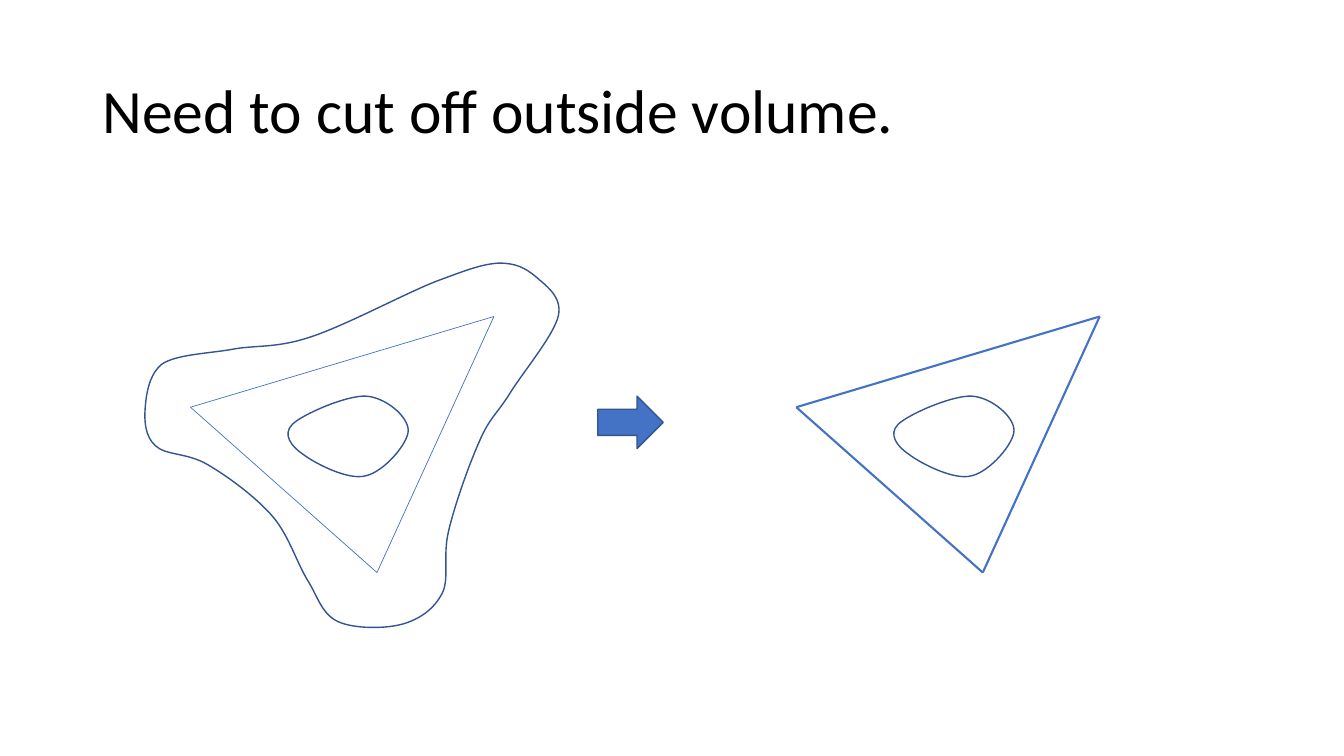
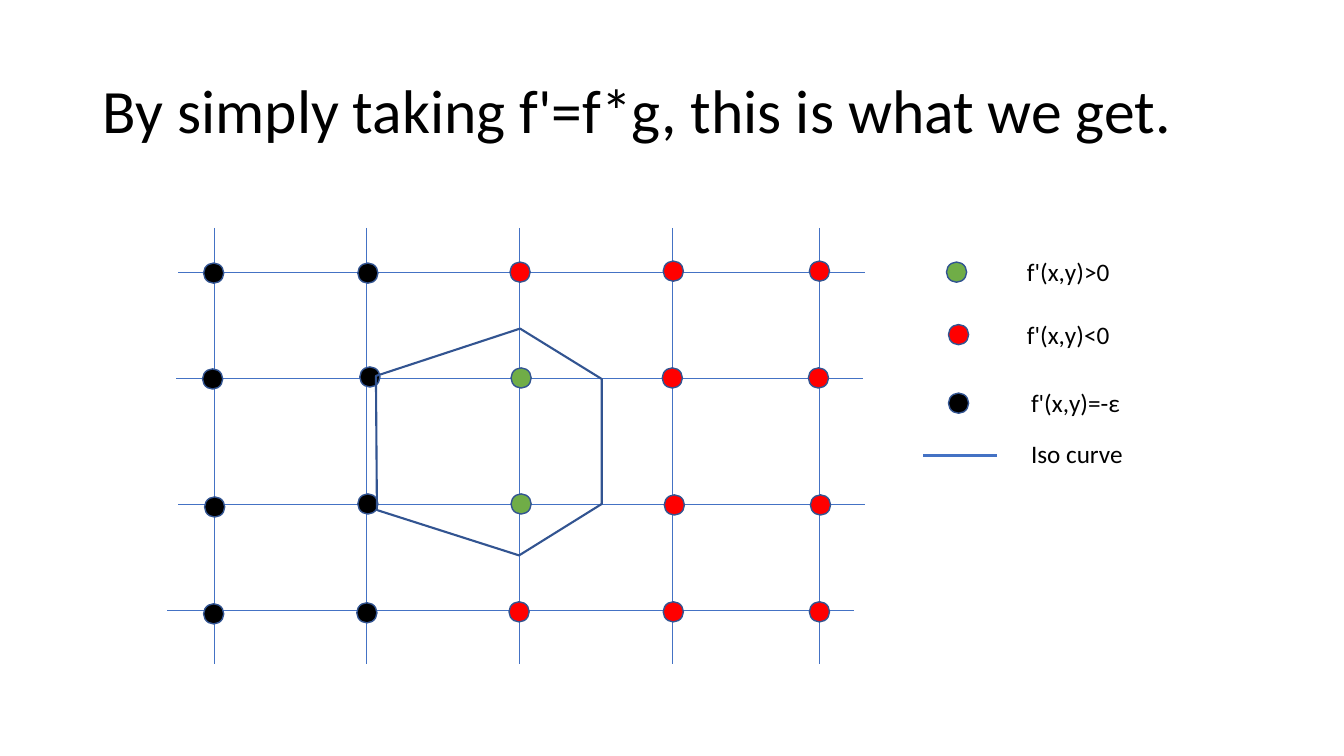
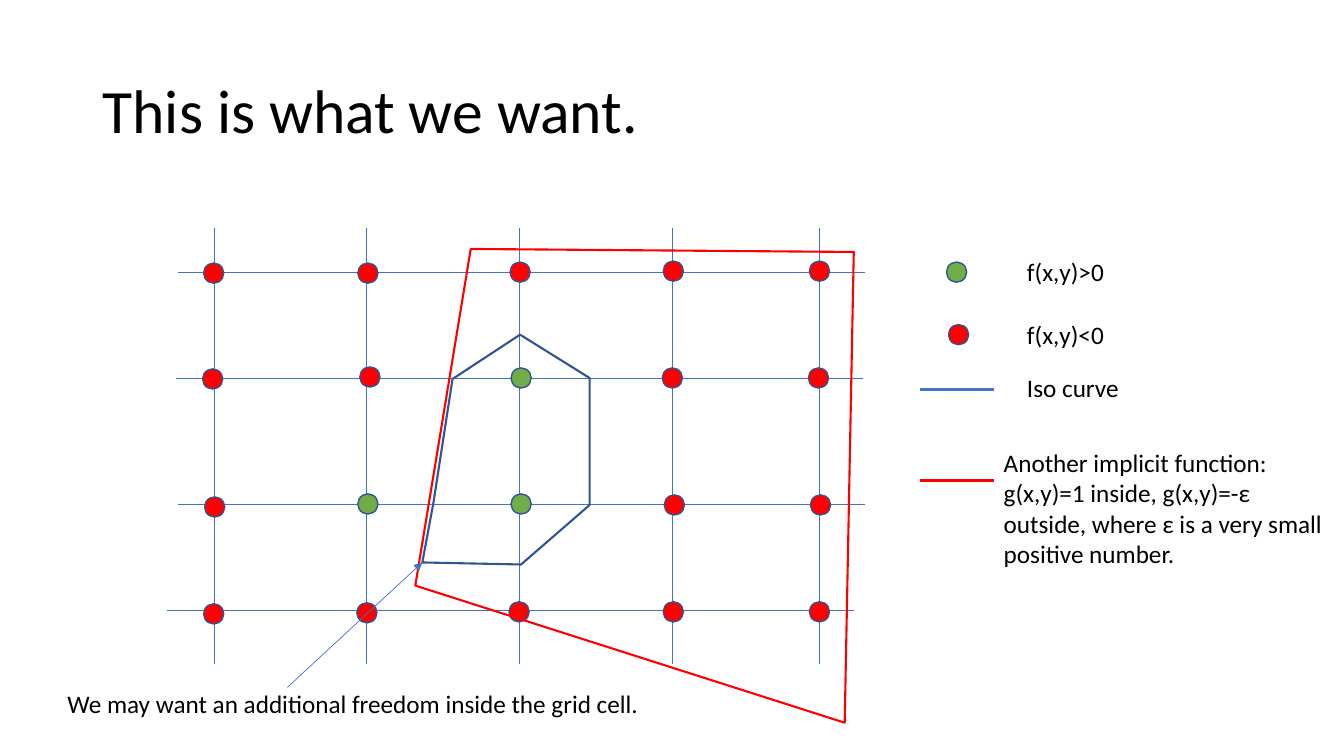
from lxml.etree import SubElement
from pptx import Presentation
from pptx.dml.color import RGBColor
from pptx.enum.shapes import MSO_CONNECTOR as Connector, MSO_SHAPE as Shape
from pptx.enum.text import MSO_ANCHOR as Anchor
from pptx.oxml.ns import qn
from pptx.util import Emu, Pt

PX = 9144
FONT = "Calibri"
BLUE, NAVY, RED, GREEN, BLACK = "4472C4", "325491", "FF0000", "70AD47", "000000"
DOT_SIZE = 20
DOT_COLOURS = {"G": GREEN, "R": RED, "K": BLACK}
GRID_ORIGIN = (166, 227)
LEGEND_ORIGIN = (912, 250)
SAMPLE_WIDTH = 73

GRID_COLUMNS = (47, 197, 349, 501, 647)
GRID_COLUMN_TOP, GRID_COLUMN_BOTTOM = -1, 432
GRID_ROWS = ((11, 43), (9, 148), (11, 273), (0, 379))
GRID_WIDTH = 681
DOT_POSITIONS = (
    ((36, 34), (189, 34), (340, 33), (492, 32), (637, 32)),
    ((35, 139), (191, 137), (341, 138), (491, 138), (636, 138)),
    ((37, 266), (189, 263), (341, 263), (493, 264), (638, 264)),
    ((36, 372), (188, 371), (339, 370), (492, 370), (637, 370)),
)

TRIANGLE = ((0, 90), (301, 0), (185, 254))
HOLE_OFFSET = (96, 79)
HOLE_SIZE = (119, 81)
HOLE_START = (5, 28)
HOLE_CURVES = (
    (-5, 38, 4, 50, 16, 58), (28, 67, 61, 84, 78, 79),
    (96, 75, 120, 47, 120, 34), (120, 20, 97, 1, 78, 0),
    (59, -1, 15, 18, 5, 28),
)
HULL_SIZE = (411, 361)
HULL_START = (10, 181)
HULL_CURVES = (
    (0, 172, -1, 157, 0, 144), (1, 130, 4, 110, 17, 100),
    (31, 91, 59, 90, 84, 86), (108, 81, 128, 85, 162, 74),
    (197, 63, 258, 30, 289, 18), (321, 6, 335, 1, 351, 0),
    (368, 0, 377, 5, 387, 13), (397, 22, 414, 33, 410, 52),
    (406, 71, 375, 108, 362, 129), (349, 150, 342, 153, 332, 176),
    (322, 198, 307, 240, 301, 266), (295, 291, 302, 312, 295, 327),
    (287, 343, 273, 353, 256, 358), (239, 363, 208, 363, 192, 356),
    (176, 349, 172, 333, 162, 316), (151, 299, 143, 271, 127, 252),
    (110, 232, 81, 211, 62, 200), (42, 188, 20, 191, 10, 181),
)
SIMPLE_CURVE = ((208, 279), (349, 324), (431, 273), (431, 149), (350, 99), (207, 146))
WANTED_CURVE = ((264, 272), (283, 149), (350, 105), (419, 148), (419, 274), (351, 333), (253, 331))
CLIP_REGION = ((301, 20), (246, 354), (672, 490), (681, 23))


def px(length):
    """Turn pixels into EMU."""
    return Emu(length * PX)


def colour(value):
    """Turn a hex string into a colour."""
    return RGBColor.from_string(value)


def set_line(item, hex_value, width):
    """Set the line colour and width of a shape or connector."""
    item.line.color.rgb = colour(hex_value)
    item.line.width = Pt(width)


def add_text(slide, text, left, top, width, height, size=18, wrap=False):
    """Place a text box and return its frame."""
    box = slide.shapes.add_textbox(px(left), px(top), px(width), px(height))
    frame = box.text_frame
    frame.text = text
    frame.word_wrap = wrap
    for para in frame.paragraphs:
        for span in para.runs:
            span.font.name = FONT
            span.font.size = Pt(size)
            span.font.color.rgb = colour(BLACK)
    return frame


def add_line(slide, start, end, hex_value=BLUE, width=0.5, arrow=False):
    """Draw a straight line, with an arrowhead at its end if asked."""
    line = slide.shapes.add_connector(
        Connector.STRAIGHT, px(start[0]), px(start[1]), px(end[0]), px(end[1]))
    set_line(line, hex_value, width)
    properties = line._element.spPr
    if arrow:
        SubElement(properties.find(qn("a:ln")), qn("a:tailEnd"), type="triangle")
    SubElement(properties, qn("a:effectLst"))


def add_shape(slide, kind, left, top, width, height, fill):
    """Draw a filled preset shape with a navy outline."""
    shape = slide.shapes.add_shape(kind, px(left), px(top), px(width), px(height))
    shape.shadow.inherit = False
    shape.fill.solid()
    shape.fill.fore_color.rgb = colour(fill)
    set_line(shape, NAVY, 1)


def add_dot(slide, left, top, fill):
    """Draw a round sample point."""
    add_shape(slide, Shape.OVAL, left, top, DOT_SIZE, DOT_SIZE, fill)


def add_outline(slide, origin, points, hex_value=NAVY, width=1.5):
    """Draw a closed unfilled outline through points relative to an origin."""
    corners = [(origin[0] + x, origin[1] + y) for x, y in points]
    builder = slide.shapes.build_freeform(*corners[0], scale=PX)
    builder.add_line_segments(corners[1:], close=True)
    shape = builder.convert_to_shape()
    shape.shadow.inherit = False
    shape.fill.background()
    set_line(shape, hex_value, width)
    return shape


def add_curve(slide, origin, size, start, curves):
    """Draw a closed outline of cubic curves inside a box."""
    shape = add_outline(slide, origin, ((0, 0), size), width=1)
    track = next(shape._element.iter(qn("a:path")))
    for child in list(track):
        track.remove(child)
    for tag, numbers in [("a:moveTo", start)] + [("a:cubicBezTo", curve) for curve in curves]:
        segment = SubElement(track, qn(tag))
        for x, y in zip(numbers[::2], numbers[1::2]):
            SubElement(segment, qn("a:pt"), x=str(x), y=str(y))
    SubElement(track, qn("a:close"))


def new_slide(deck, title):
    """Add a blank slide with the shared title."""
    slide = deck.slides.add_slide(deck.slide_layouts[6])
    frame = add_text(slide, title, 92, 40, 1150, 145, size=44, wrap=True)
    frame.vertical_anchor = Anchor.MIDDLE
    frame.paragraphs[0].line_spacing = 0.9
    return slide


def add_triangle(slide, left, top, width):
    """Draw a triangle with a hollow inside it."""
    corners = [(left + x, top + y) for x, y in TRIANGLE]
    for start, end in zip(corners, corners[1:] + corners[:1]):
        add_line(slide, start, end, width=width)
    hole_origin = (left + HOLE_OFFSET[0], top + HOLE_OFFSET[1])
    add_curve(slide, hole_origin, HOLE_SIZE, HOLE_START, HOLE_CURVES)


def add_grid(slide, origin, dot_rows):
    """Draw the sample grid and its coloured dots."""
    left, top = origin
    for x in GRID_COLUMNS:
        add_line(slide, (left + x, top + GRID_COLUMN_TOP), (left + x, top + GRID_COLUMN_BOTTOM))
    for x, y in GRID_ROWS:
        add_line(slide, (left + x, top + y), (left + x + GRID_WIDTH, top + y))
    for positions, letters in zip(DOT_POSITIONS, dot_rows):
        for (x, y), letter in zip(positions, letters):
            add_dot(slide, left + x, top + y, DOT_COLOURS[letter])


def add_legend(slide, origin, dots, lines, labels):
    """Draw the legend's dots, line samples and labels."""
    left, top = origin
    for x, y, fill in dots:
        add_dot(slide, left + x, top + y, fill)
    for x, y, hex_value in lines:
        add_line(slide, (left + x, top + y), (left + x + SAMPLE_WIDTH, top + y), hex_value, 2.25)
    for x, y, width, text in labels:
        add_text(slide, text, left + x, top + y, width, 40)


def cut_slide(deck):
    """Build the slide about cutting off the outside volume."""
    slide = new_slide(deck, "Need to cut off outside volume.")
    add_triangle(slide, 189, 314, 0.5)
    add_curve(slide, (144, 261), HULL_SIZE, HULL_START, HULL_CURVES)
    add_shape(slide, Shape.RIGHT_ARROW, 593, 393, 65, 52, BLUE)
    add_triangle(slide, 790, 314, 1.5)


def simple_slide(deck):
    """Build the slide showing the plain product."""
    slide = new_slide(deck, "By simply taking f'=f*g, this is what we get.")
    add_grid(slide, GRID_ORIGIN, ("KKRRR", "KKGRR", "KKGRR", "KKRRR"))
    add_legend(
        slide, LEGEND_ORIGIN,
        ((27, 10, GREEN), (29, 72, RED), (29, 140, BLACK)),
        ((4, 202, BLUE),),
        ((97, -1, 103, "f'(x,y)>0"), (97, 62, 103, "f'(x,y)<0"),
         (101, 129, 109, "f'(x,y)=-ε"), (101, 180, 112, "Iso curve")))
    add_outline(slide, GRID_ORIGIN, SIMPLE_CURVE)


def wanted_slide(deck):
    """Build the slide showing the wanted curve."""
    slide = new_slide(deck, "This is what we want.")
    add_grid(slide, GRID_ORIGIN, ("RRRRR", "RRGRR", "RGGRR", "RRRRR"))
    add_outline(slide, GRID_ORIGIN, WANTED_CURVE)
    add_legend(
        slide, LEGEND_ORIGIN,
        ((27, 10, GREEN), (29, 72, RED)),
        ((1, 136, BLUE), (1, 227, RED)),
        ((97, -1, 97, "f(x,y)>0"), (97, 62, 97, "f(x,y)<0"), (97, 114, 112, "Iso curve")))
    add_outline(slide, GRID_ORIGIN, CLIP_REGION, RED)
    add_text(
        slide,
        "Another implicit function:\n"
        "g(x,y)=1 inside, g(x,y)=-ε outside, where ε is a very small positive number.",
        986, 439, 347, 131, wrap=True)
    add_line(slide, (285, 682), (419, 558), arrow=True)
    add_text(slide, "We may want an additional freedom inside the grid cell.", 57, 678, 594, 40)


def main():
    """Build and save the deck."""
    deck = Presentation()
    deck.slide_width, deck.slide_height = Emu(12192000), px(750)
    for build in (cut_slide, simple_slide, wanted_slide):
        build(deck)
    deck.save("out.pptx")


if __name__ == "__main__":
    main()
